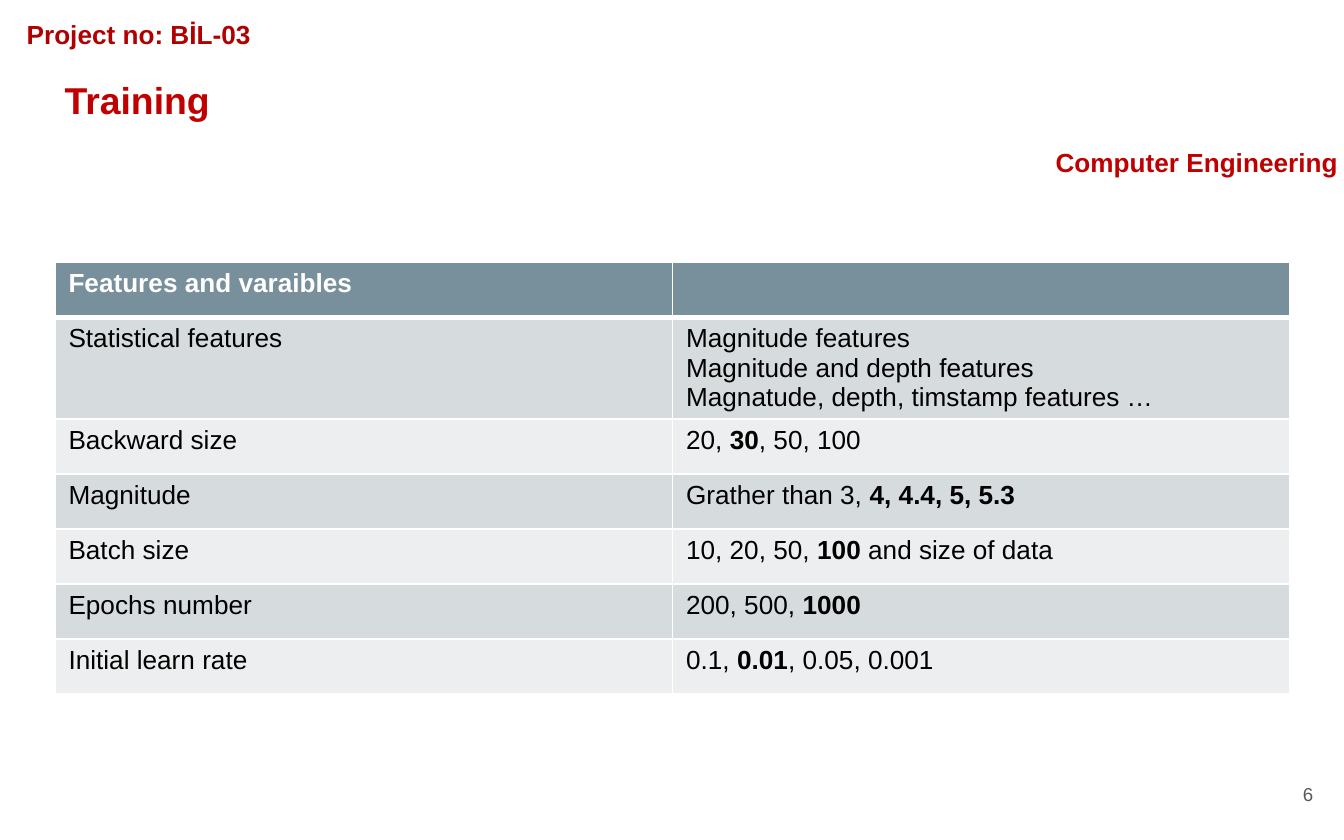
from lxml import etree
from pptx import Presentation
from pptx import util as u
from pptx.dml.color import RGBColor
from pptx.enum import text
from pptx.oxml import ns

FONT = "Arial"
RED = RGBColor(0xC0, 0x00, 0x00)
DARK_RED = RGBColor(0xB0, 0x00, 0x00)
GRAY = RGBColor(0x59, 0x59, 0x59)
BLACK = RGBColor(0x00, 0x00, 0x00)
WHITE = RGBColor(0xFF, 0xFF, 0xFF)
HEADER = RGBColor(0x78, 0x90, 0x9C)
BANDS = (RGBColor(0xD6, 0xDB, 0xDE), RGBColor(0xEC, 0xEE, 0xEF))

LEFT, CENTER, RIGHT = (text.PP_ALIGN.LEFT, text.PP_ALIGN.CENTER,
                       text.PP_ALIGN.RIGHT)

# Each cell is a list of paragraphs; each paragraph is a list of (text, bold)
ROWS = [
    ([[("Features and varaibles", True)]], []),
    ([[("Statistical features", False)]],
     [[("Magnitude features", False)],
      [("Magnitude and depth features", False)],
      [("Magnatude, depth, timstamp features …", False)]]),
    ([[("Backward size", False)]],
     [[("20,", False), (" 30", True), (", 50, 100", False)]]),
    ([[("Magnitude", False)]],
     [[("Grather than 3, ", False), ("4, 4.4, 5, 5.3", True)]]),
    ([[("Batch size", False)]],
     [[("10, 20, 50, ", False), ("100 ", True), ("and size of data", False)]]),
    ([[("Epochs number", False)]],
     [[("200, 500, ", False), ("1000", True)]]),
    ([[("Initial learn rate", False)]],
     [[("0.1, ", False), ("0.01", True), (", 0.05, 0.001", False)]]),
]


def add_run(p, words, size, color, bold=False):
    r = p.add_run()
    r.text = words
    r.font.name = FONT
    r.font.size = u.Pt(size)
    r.font.bold = bold
    r.font.color.rgb = color


def fill_frame(sp, words, size, color, bold=True, align=LEFT):
    tf = sp.text_frame
    tf.word_wrap = True
    tf.auto_size = text.MSO_AUTO_SIZE.NONE
    tf.vertical_anchor = text.MSO_ANCHOR.MIDDLE
    tf.margin_left = tf.margin_right = u.Inches(0.1)
    tf.margin_top = tf.margin_bottom = u.Inches(0.1)
    p = tf.paragraphs[0]
    p.alignment = align
    add_run(p, words, size, color, bold)


def add_title(s, box, words):
    sp = s.shapes.title
    sp.left, sp.top, sp.width, sp.height = map(u.Inches, box)
    fill_frame(sp, words, 20, RED)


def add_label(s, box, *args, **kwargs):
    sp = s.shapes.add_textbox(*map(u.Inches, box))
    fill_frame(sp, *args, **kwargs)


def set_borders(cell, bottom):
    tc_pr = cell._tc.get_or_add_tcPr()
    widths = {"lnL": 1, "lnR": 1, "lnT": 1, "lnB": bottom}
    for i, (tag, width) in enumerate(widths.items()):
        ln = etree.Element(ns.qn("a:" + tag), w=str(u.Pt(width)))
        solid = etree.SubElement(ln, ns.qn("a:solidFill"))
        etree.SubElement(solid, ns.qn("a:srgbClr"), val=str(WHITE))
        tc_pr.insert(i, ln)


def fill_cell(cell, paragraphs, row):
    cell.fill.solid()
    cell.fill.fore_color.rgb = BANDS[(row - 1) % 2] if row else HEADER
    set_borders(cell, bottom=1 if row else 3)
    tf = cell.text_frame
    for i, runs in enumerate(paragraphs):
        p = tf.add_paragraph() if i else tf.paragraphs[0]
        for words, bold in runs:
            add_run(p, words, 14, BLACK if row else WHITE, bold)


def add_feature_table(s, box):
    frame = s.shapes.add_table(len(ROWS), 2, *map(u.Inches, box))
    table = frame.table
    for row, cells in enumerate(ROWS):
        tall = len(cells[1]) > 1
        table.rows[row].height = u.Inches(0.75 if tall else 0.41)
        for col, paragraphs in enumerate(cells):
            fill_cell(table.cell(row, col), paragraphs, row)


def main():
    prs = Presentation()
    prs.slide_width, prs.slide_height = u.Inches(10), u.Inches(6.25)
    s = prs.slides.add_slide(prs.slide_layouts[5])

    # Headings and page number
    add_title(s, (0.38, 0.58, 7.52, 0.32), "Training")
    add_label(s, (9.27, 5.67, 0.6, 0.48), "6", 10, GRAY, bold=False,
              align=RIGHT)
    add_label(s, (7.72, 0.92, 2.37, 0.57), "Computer Engineering", 14, RED,
              align=CENTER)
    add_label(s, (0.1, 0.06, 2.08, 0.38), "Project no: BİL-03", 14, DARK_RED)

    # Training parameters
    add_feature_table(s, (0.41, 1.95, 9.19, 3.21))

    prs.save("out.pptx")


main()
